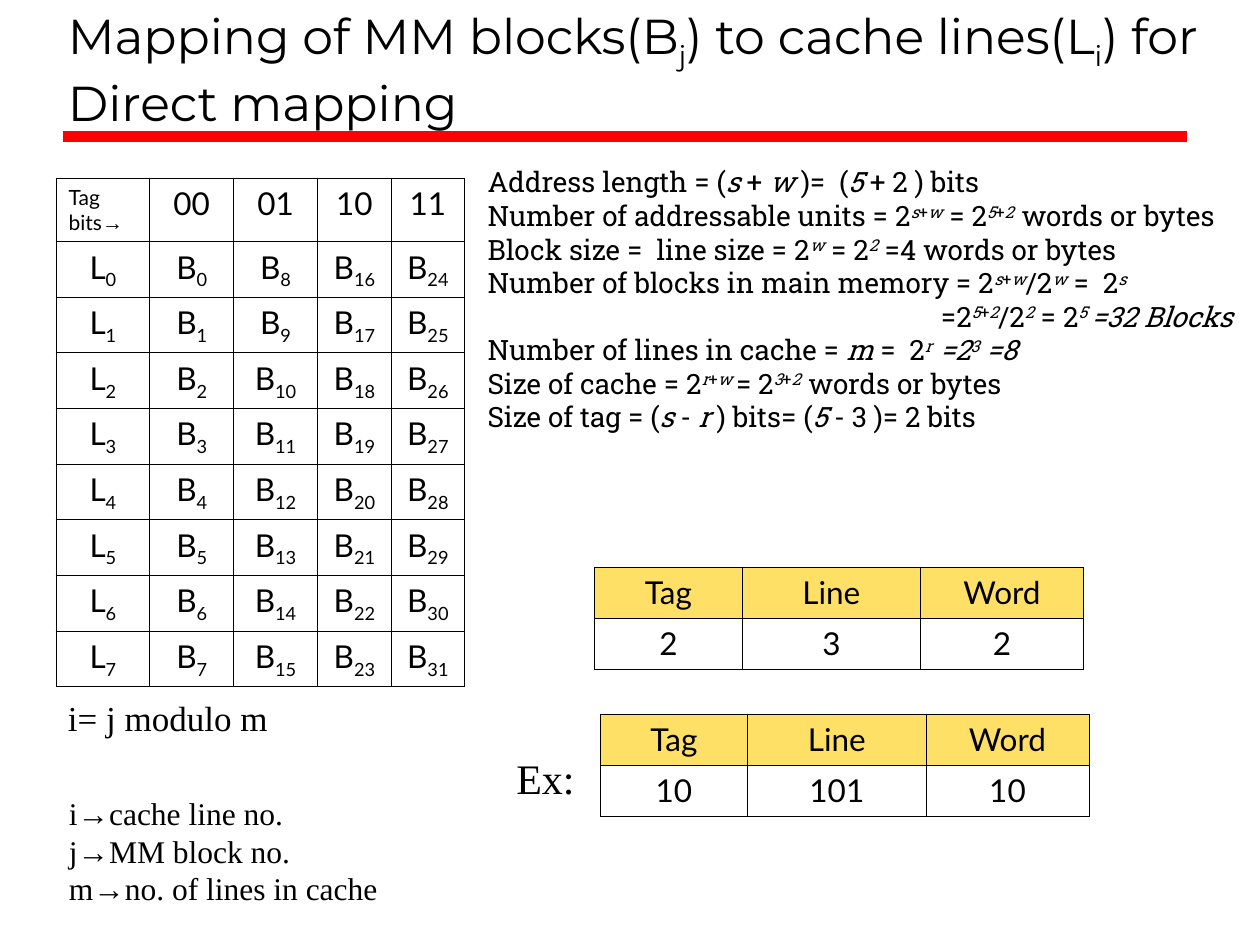
from dataclasses import dataclass

from lxml import etree
from pptx import Presentation
from pptx import util as u
from pptx.dml.color import RGBColor
from pptx.enum import shapes, text
from pptx.oxml.ns import qn


@dataclass(frozen=True)
class Theme:
    ink: str = "000000"
    rule: str = "FF0000"
    header: str = "FFE066"
    title_font: str = "Montserrat"
    table_font: str = "Lato"
    formula_font: str = "Roboto Slab"
    note_font: str = "Times New Roman"
    arrow_font: str = "Arial"
    title: int = 28
    example: int = 24
    relation: int = 20
    body: int = 18
    formula: int = 16
    small: int = 12
    rule_width: float = 6
    border: float = 0.45


T = Theme()


def split_marks(s):
    pieces, state = [], {"*": False, "^": False, "_": False, "→": False}

    def add(ch):
        if pieces and pieces[-1][1] == state:
            pieces[-1][0] += ch
        else:
            pieces.append([ch, dict(state)])

    for ch in s:
        if ch in "*^_":
            state[ch] = not state[ch]
        else:
            state["→"] = ch == "→"
            add(ch)
    return pieces


def write(p, s, font=T.table_font, size=T.body, align=text.PP_ALIGN.LEFT, indent=0):
    p.alignment = align
    if indent:
        p._p.get_or_add_pPr().set("marL", str(u.Cm(indent)))
    for piece, marks in split_marks(s):
        r = p.add_run()
        r.text = piece
        f = r.font
        f.name = T.arrow_font if marks["→"] else font
        f.size = u.Pt(size)
        f.italic = marks["*"]
        f.color.rgb = RGBColor.from_string(T.ink)
        if marks["^"] or marks["_"]:
            f._element.set("baseline", "30000" if marks["^"] else "-25000")


class SlideBuilder:
    def __init__(self, prs, theme):
        self.theme = theme
        self.s = prs.slides.add_slide(prs.slide_layouts[6])

    def rule(self, x1, x2, y):
        sp = self.s.shapes.add_connector(
            shapes.MSO_CONNECTOR.STRAIGHT, u.Cm(x1), u.Cm(y), u.Cm(x2), u.Cm(y))
        sp.line.color.rgb = RGBColor.from_string(self.theme.rule)
        sp.line.width = u.Pt(self.theme.rule_width)
        etree.SubElement(sp._element.spPr, qn("a:effectLst"))

    def text(self, box, lines, anchor=text.MSO_ANCHOR.TOP, indents=None, **fmt):
        sp = self.s.shapes.add_textbox(*map(u.Cm, box))
        tf = sp.text_frame
        tf.word_wrap = True
        tf.vertical_anchor = anchor
        for i, line in enumerate(lines):
            p = tf.add_paragraph() if i else tf.paragraphs[0]
            write(p, line, indent=(indents or {}).get(i, 0), **fmt)

    def borders(self, cell):
        tcPr = cell._tc.get_or_add_tcPr()
        for i, side in enumerate(("a:lnL", "a:lnR", "a:lnT", "a:lnB")):
            ln = etree.Element(qn(side), w=str(u.Pt(self.theme.border)))
            fill = etree.SubElement(ln, qn("a:solidFill"))
            etree.SubElement(fill, qn("a:srgbClr"), val=self.theme.ink)
            tcPr.insert(i, ln)

    def table(self, left, top, widths, heights, rows, header=None, corner=None):
        frame = self.s.shapes.add_table(
            len(rows), len(widths), u.Cm(left), u.Cm(top),
            u.Cm(sum(widths)), u.Cm(sum(heights)))
        tbl = frame.table
        tbl.first_row = tbl.horz_banding = False
        for col, w in zip(tbl.columns, widths):
            col.width = u.Cm(w)
        for row, h in zip(tbl.rows, heights):
            row.height = u.Cm(h)
        for i, values in enumerate(rows):
            for j, value in enumerate(values):
                cell = tbl.cell(i, j)
                if header and i == 0:
                    cell.fill.solid()
                    cell.fill.fore_color.rgb = RGBColor.from_string(header)
                else:
                    cell.fill.background()
                self.borders(cell)
                fmt = {"align": text.PP_ALIGN.CENTER}
                if corner and i == j == 0:
                    fmt = corner
                write(cell.text_frame.paragraphs[0], value, **fmt)


def main():
    prs = Presentation()
    prs.slide_width, prs.slide_height = u.Cm(25.4), u.Cm(19.05)
    b = SlideBuilder(prs, T)

    b.rule(1.27, 23.93, 2.75)
    b.text((1.12, 0.43, 23.65, 2.34),
           ["Mapping of MM blocks(B_j_) to cache lines(L_i_) for Direct mapping"],
           anchor=text.MSO_ANCHOR.BOTTOM, font=T.title_font, size=T.title)

    lines, tags = 8, 4
    mapping = [["Tag bits→"] + [f"{tag:02b}" for tag in range(tags)]]
    mapping += [[f"L_{i}_"] + [f"B_{i + lines * tag}_" for tag in range(tags)]
                for i in range(lines)]
    b.table(1.13, 3.6, [1.89, 1.69, 1.69, 1.49, 1.47], [1.27] + [1.12] * lines,
            mapping, corner={"size": T.small})

    b.text((9.58, 3.2, 15.88, 5.69), [
        "Address length = (*s *+ *w* )=  (*5 *+ 2 ) bits",
        "Number of addressable units = 2^*s*+*w*^ = 2^*5*+*2  *^words or bytes",
        "Block size =  line size = 2^*w*^ = 2^*2*^ =4 words or bytes",
        "Number of blocks in main memory = 2^*s*+*w*^/2^*w*^ =  2^*s*^",
        "=2^*5*+*2*^/2^*2*^ = 2*^5 ^=32 Blocks*",
        "Number of lines in cache = *m* =  2*^r  ^=2^3^ =8*",
        "Size of cache = 2^*r*+*w *^= 2^*3*+*2  *^words or bytes",
        "Size of tag = (*s* - *r* ) bits= (*5* - 3 )= 2 bits",
    ], indents={4: 9.14}, font=T.formula_font, size=T.formula)

    fields = ["Tag", "Line", "Word"]
    for left, top, values in ((11.99, 11.43, ["2", "3", "2"]),
                              (12.1, 14.4, ["10", "101", "10"])):
        b.table(left, top, [2.97, 3.6, 3.28], [1.03, 1.03],
                [fields, values], header=T.header)

    b.text((10.16, 15.04, 1.8, 1.27), ["Ex:"], font=T.note_font, size=T.example)
    b.text((1.12, 13.92, 6.55, 1.12), ["i= j modulo m"],
           font=T.note_font, size=T.relation)
    b.text((1.14, 15.88, 7.62, 2.54),
           ["i→cache line no.", "j→MM block no.", "m→no. of lines in cache"],
           font=T.note_font, size=T.body)

    prs.save("out.pptx")


if __name__ == "__main__":
    main()
